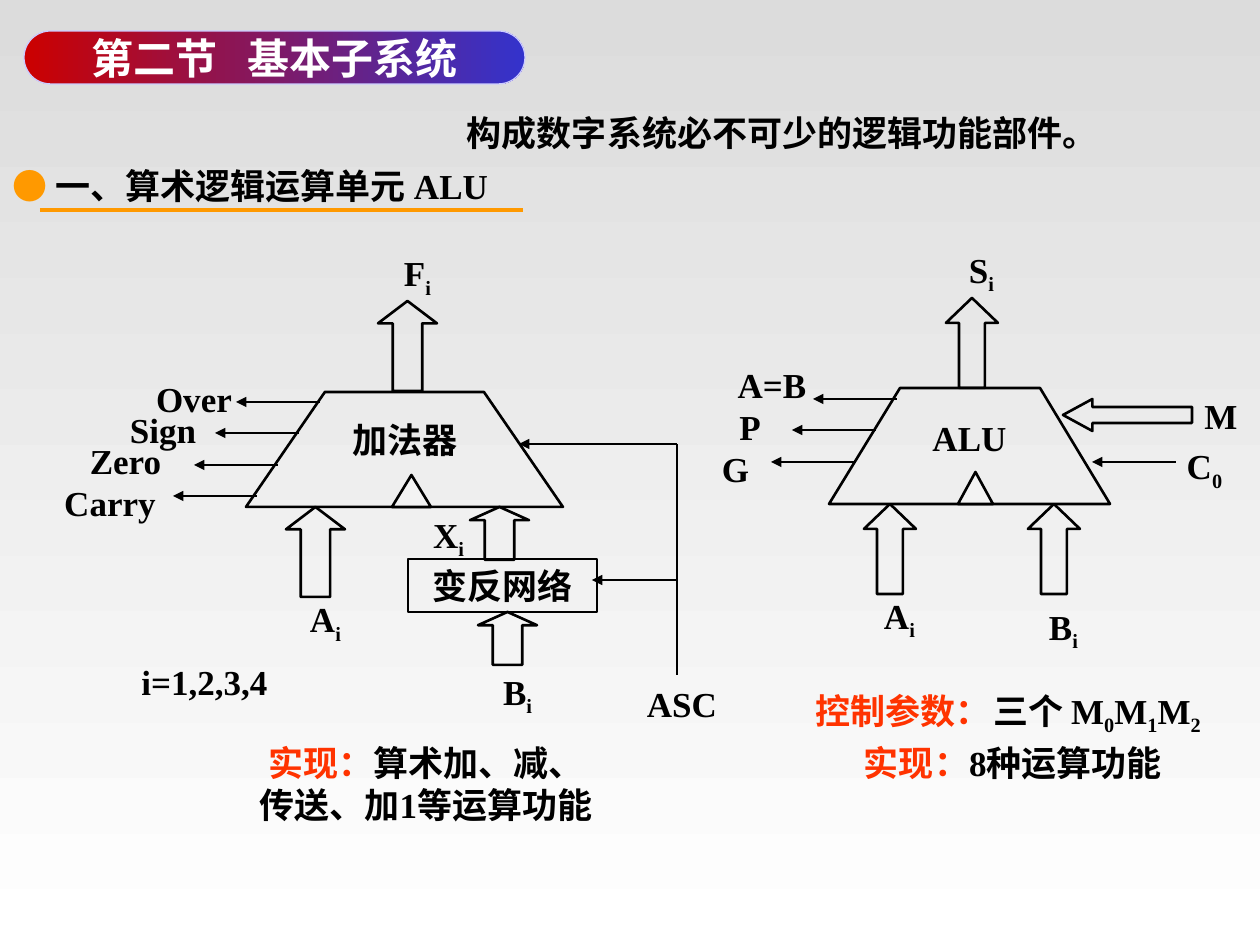
from dataclasses import dataclass

from lxml import etree
from pptx import Presentation
from pptx.dml.color import RGBColor
from pptx.enum.shapes import MSO_CONNECTOR, MSO_SHAPE
from pptx.enum.text import MSO_ANCHOR, MSO_AUTO_SIZE, PP_ALIGN
from pptx.oxml.ns import qn
from pptx.util import Emu, Pt

LINE = MSO_CONNECTOR.STRAIGHT
UP, LEFT = MSO_SHAPE.UP_ARROW, MSO_SHAPE.LEFT_ARROW
PILL, RECT, PEAK = MSO_SHAPE.ROUNDED_RECTANGLE, MSO_SHAPE.RECTANGLE, MSO_SHAPE.ISOSCELES_TRIANGLE
MID, GROW, FIXED = MSO_ANCHOR.MIDDLE, MSO_AUTO_SIZE.SHAPE_TO_FIT_TEXT, MSO_AUTO_SIZE.NONE
CENTER, START = PP_ALIGN.CENTER, PP_ALIGN.LEFT

SCALE = 914400 / 126
HUES = {"ink": "000000", "red": "FF3300", "gold": "FF9900", "white": "FFFFFF",
        "ruby": "CC0000", "blue": "3333CC", "edge": "CCCCFF", "gray": "DCDCDC", "pale": "F3F3F3"}


@dataclass
class Label:
    text: str
    x: int
    y: int
    w: int
    h: int = 54
    lead: str = ""
    tint: str = "red"
    align: PP_ALIGN = CENTER


@dataclass
class Block:
    kind: MSO_SHAPE
    x: int
    y: int
    w: int
    h: int
    adj: tuple = ()


@dataclass
class Wire:
    x1: int
    y1: int
    x2: int
    y2: int
    head: bool = False
    hue: str = "ink"
    width: float = 1.5


@dataclass
class Unit:
    low: tuple
    high: tuple
    top: int
    base: int
    peak: Block
    flags: int
    first: tuple


UNITS = [
    Unit((246, 563), (325, 484), 392, 507, Block(PEAK, 392, 475, 39, 32), 4, (236, 402)),
    Unit((829, 1110), (900, 1040), 388, 504, Block(PEAK, 958, 472, 35, 32), 3, (813, 399)),
]
WIDE, TALL, SLIM, FLAT = (0.5, 0.25), (0.5, 0.38), (0.5, 0.48), (0.5, 0.92)
ARROWS = [
    Block(UP, 470, 507, 59, 53, WIDE), Block(UP, 478, 612, 59, 53, WIDE),
    Block(UP, 286, 507, 59, 90, TALL), Block(UP, 378, 301, 59, 90, TALL),
    Block(UP, 1028, 504, 52, 90, SLIM), Block(UP, 864, 504, 52, 90, SLIM),
    Block(UP, 946, 298, 52, 90, SLIM), Block(LEFT, 1063, 399, 129, 32, FLAT),
]
WIRES = [
    Wire(40, 210, 523, 210, False, "gold", 2.25),
    Wire(519, 444, 677, 444, True), Wire(592, 580, 677, 580, True),
    Wire(677, 444, 677, 675), Wire(1092, 462, 1176, 462, True),
]
LABELS = [
    Label("一、算术逻辑运算单元 ALU", 0, 158, 725, lead="● ", tint="gold", align=START),
    Label("构成数字系统必不可少的逻辑功能部件。", 441, 105, 683),
    Label("8种运算功能", 829, 735, 368, lead="实现："),
    Label("", 798, 683, 210, lead="控制参数："),
    Label("三个 M_0M_1M_2", 966, 683, 262),
    Label("算术加、减、传送、加1等运算功能", 242, 735, 368, 97, "实现："),
    Label("ASC", 614, 676, 136),
    Label("Over", 136, 371, 116),
    Label("Sign", 116, 402, 94),
    Label("Zero", 73, 433, 105),
    Label("Carry", 42, 475, 136),
    Label("A_i", 286, 591, 79),
    Label("B_i", 478, 664, 79),
    Label("F_i", 378, 245, 79),
    Label("X_i", 409, 507, 79),
    Label("加法器", 339, 412, 132),
    Label("i=1,2,3,4", 126, 654, 157),
    Label("A_i", 864, 588, 71),
    Label("B_i", 1028, 599, 71),
    Label("S_i", 946, 242, 71),
    Label("ALU", 911, 410, 117),
    Label("M", 1192, 388, 47),
    Label("A=B", 714, 357, 116),
    Label("P", 703, 399, 94),
    Label("G", 683, 441, 105),
    Label("C_0", 1168, 438, 73),
]


def px(n: int) -> Emu:
    return Emu(round(n * SCALE))


def hue(name: str) -> RGBColor:
    return RGBColor.from_string(HUES[name])


def put(para, text: str, tint: str = "ink", size: int = 20, bold: bool = True):
    run = para.add_run()
    run.text = text
    form = {"name": "Times New Roman", "size": Pt(size), "bold": bold}
    for key, val in form.items():
        setattr(run.font, key, val)
    run.font.color.rgb = hue(tint)
    return run._r.get_or_add_rPr()


def write(para, text: str) -> None:
    base, *subs = text.split("_")
    if base:
        put(para, base)
    for part in subs:
        put(para, part[0]).set("baseline", "-25000")
        if part[1:]:
            put(para, part[1:])


def blend(fill, start: str, end: str, angle: int) -> None:
    fill.gradient()
    fill.gradient_angle = angle
    for stop, name, pos in zip(fill.gradient_stops, (start, end), (0, 1)):
        stop.color.rgb = hue(name)
        stop.position = pos


def edge(shape, name: str = "ink", width: float = 1.5) -> None:
    shape.line.color.rgb = hue(name)
    shape.line.width = Pt(width)


def add_block(slide, b: Block):
    shape = slide.shapes.add_shape(b.kind, *map(px, (b.x, b.y, b.w, b.h)))
    shape.shadow.inherit = False
    shape.fill.background()
    edge(shape)
    for i, val in enumerate(b.adj):
        shape.adjustments[i] = val
    return shape


def add_wire(slide, w: Wire) -> None:
    line = slide.shapes.add_connector(LINE, *map(px, (w.x1, w.y1, w.x2, w.y2)))
    edge(line, w.hue, w.width)
    if w.head:
        etree.SubElement(line.line._get_or_add_ln(), qn("a:headEnd"), type="triangle")
    etree.SubElement(line._element.spPr, qn("a:effectLst"))


def add_label(slide, t: Label) -> None:
    frame = slide.shapes.add_textbox(*map(px, (t.x, t.y, t.w, t.h))).text_frame
    for key, val in {"word_wrap": True, "auto_size": GROW}.items():
        setattr(frame, key, val)
    para = frame.paragraphs[0]
    para.alignment = t.align
    if t.lead:
        put(para, t.lead, t.tint, bold=t.tint == "red")
    write(para, t.text)


def add_unit(slide, u: Unit) -> None:
    (a, d), (b, c) = u.low, u.high
    pen = slide.shapes.build_freeform(px(a), px(u.base))
    pen.add_line_segments([(px(x), px(y)) for x, y in ((b, u.top), (c, u.top), (d, u.base))])
    body = pen.convert_to_shape()
    body.shadow.inherit = False
    body.fill.background()
    edge(body)
    peak = add_block(slide, u.peak)
    peak.fill.solid()
    peak.fill.fore_color.rgb = hue("pale")
    add_wire(slide, Wire(u.peak.x, u.base, u.peak.x + u.peak.w, u.base))
    for i in range(u.flags):
        x, y = u.first[0] - 21 * i, u.first[1] + 63 * i // 2
        add_wire(slide, Wire(x, y, x + 84, y, True))


def add_title(slide) -> None:
    pill = add_block(slide, Block(PILL, 24, 31, 501, 53, (0.5,)))
    blend(pill.fill, "ruby", "blue", 0)
    edge(pill, "edge", 0.75)
    title = slide.shapes.title
    for key in ("left", "top", "width", "height"):
        setattr(title, key, getattr(pill, key))
    pill._element.addnext(title._element)
    frame = title.text_frame
    form = {"word_wrap": False, "auto_size": FIXED, "vertical_anchor": MID, "margin_left": 0,
            "margin_right": 0, "margin_top": 0, "margin_bottom": 0}
    for key, val in form.items():
        setattr(frame, key, val)
    para = frame.paragraphs[0]
    para.alignment = CENTER
    put(para, "第二节", "white", 24)
    put(para, " ", "white", 24).set("spc", "1200")
    put(para, "基本子系统", "white", 24)


def main() -> None:
    deck = Presentation()
    deck.slide_width, deck.slide_height = px(1260), px(945)
    slide = deck.slides.add_slide(deck.slide_layouts[5])
    blend(slide.background.fill, "gray", "white", 270)
    add_title(slide)
    for unit in UNITS:
        add_unit(slide, unit)
    for block in ARROWS:
        add_block(slide, block)
    frame = add_block(slide, Block(RECT, 408, 559, 189, 53)).text_frame
    frame.word_wrap = False
    frame.vertical_anchor = MID
    frame.paragraphs[0].alignment = CENTER
    write(frame.paragraphs[0], "变反网络")
    for wire in WIRES:
        add_wire(slide, wire)
    for label in LABELS:
        add_label(slide, label)
    deck.save("out.pptx")


if __name__ == "__main__":
    main()
